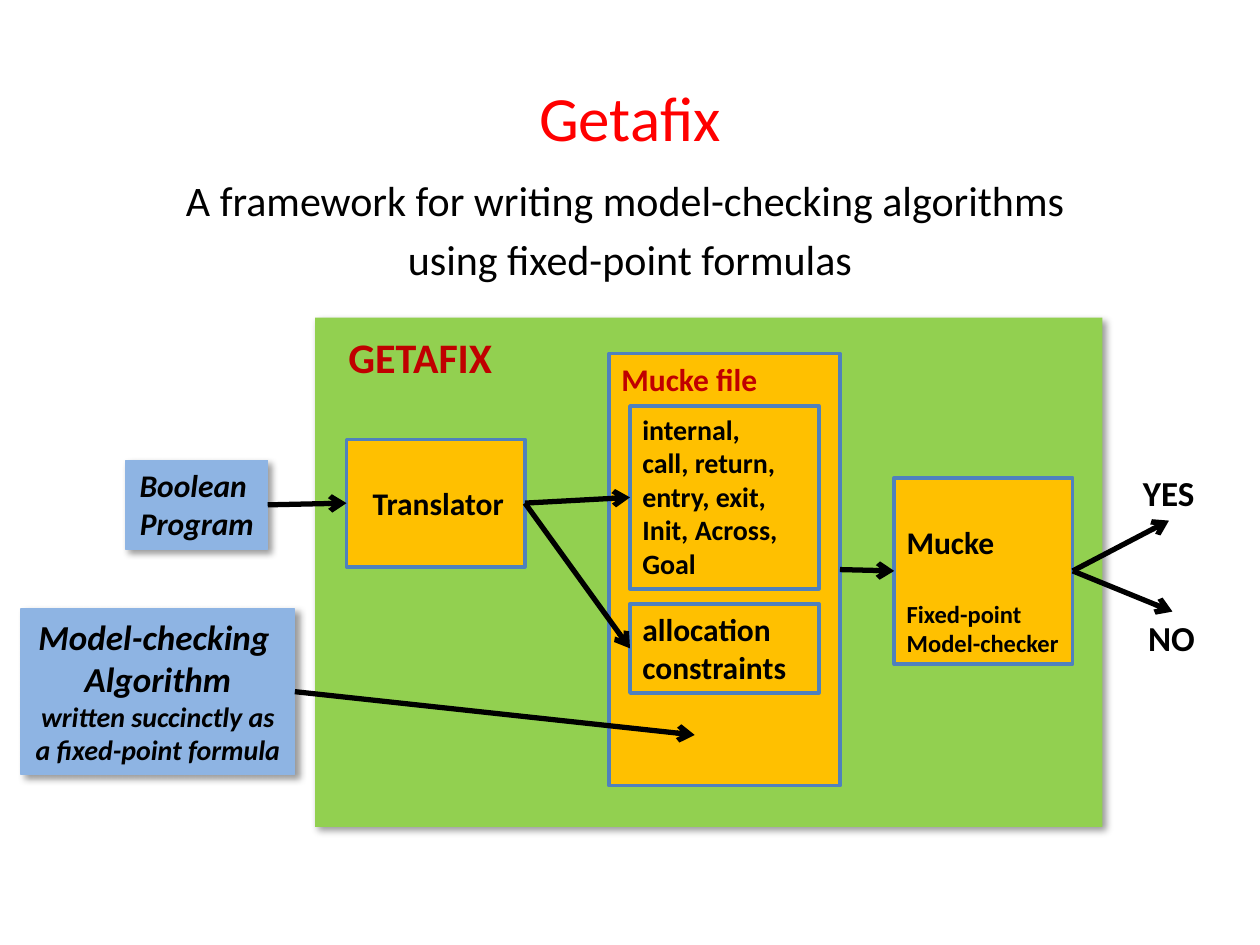
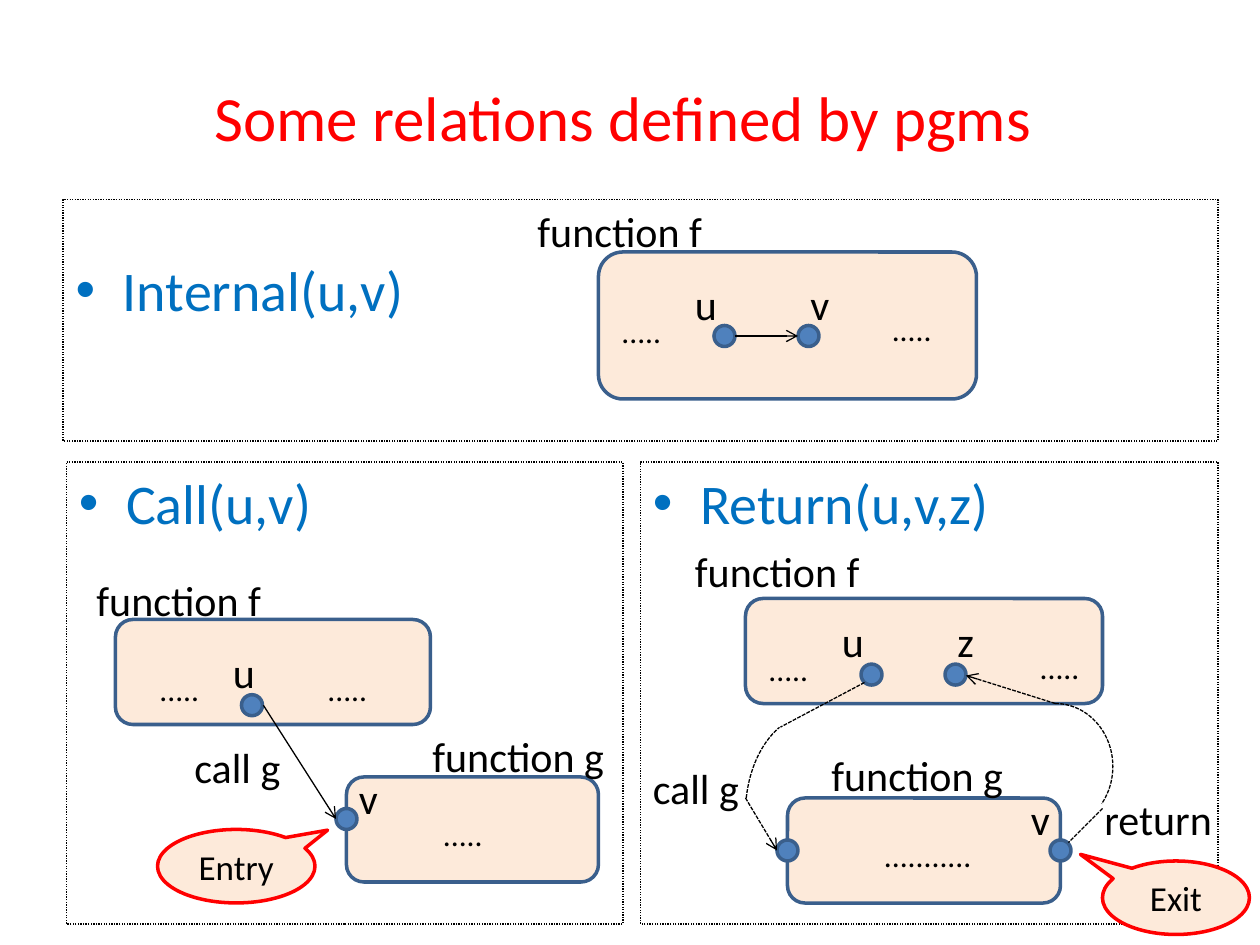
from lxml.etree import SubElement
from pptx import Presentation
from pptx.dml.color import RGBColor
from pptx.enum.dml import MSO_LINE
from pptx.enum.shapes import MSO_CONNECTOR, MSO_SHAPE
from pptx.enum.text import MSO_ANCHOR, MSO_AUTO_SIZE, PP_ALIGN
from pptx.oxml.ns import qn
from pptx.util import Pt

BLACK = RGBColor(0, 0, 0)
RED = RGBColor(0xFF, 0, 0)
DARK_RED = RGBColor(0xC0, 0, 0)
GREEN = RGBColor(0x92, 0xD0, 0x50)
AMBER = RGBColor(0xFF, 0xC0, 0)
SKY = RGBColor(0x8E, 0xB4, 0xE3)
BLUE = RGBColor(0x4F, 0x81, 0xBD)
NAVY = RGBColor(0x3A, 0x5F, 0x8C)
HEADING_BLUE = RGBColor(0, 0x70, 0xC0)
PEACH = RGBColor(0xFD, 0xEA, 0xDA)
FONT = "Calibri"
TITLE_BOX = (36, 21.6, 648, 90)
HANG = 27

TAGLINE_BOX = (36, 96, 648, 84)
TAGLINE = ["A framework for writing model-checking algorithms ", "using fixed-point formulas"]
TOOL_BOX = (180, 181.5, 450, 291)
INPUTS = {
    "program": ((72, 263, 81, 51), [("Boolean \vProgram", 18)]),
    "algorithm": ((12, 348, 156.5, 94.5), [
        ("Model-checking ", 20), ("Algorithm", 20),
        ("written succinctly as", 16), ("a fixed-point formula", 16)]),
}
STAGES = {
    "translator": ((198, 251, 102, 73), [("Translator", 18)]),
    "mucke file": ((348, 202, 132, 247), [("Mucke file", 18)]),
    "constraints": ((360, 345, 108, 51), [("allocation", 18), ("constraints", 18)]),
    "relations": ((360, 232, 108, 104.5), [
        ("internal,", 16), ("call, return,", 16), ("entry, exit,", 16),
        ("Init, Across, Goal", 16)]),
    "mucke": ((511, 273, 102, 106.5), [
        ("Mucke", 18), ("Fixed-point", 14), ("Model-checker", 14)]),
}
OUTER_LABELS = [
    ("YES", (646, 266, 44, 31.5), 20, BLACK),
    ("NO", (649, 349, 42, 31.5), 20, BLACK),
    ("GETAFIX", (192, 186, 97, 36), 24, DARK_RED),
]
FLOWS = [
    ("program", "translator"), ("translator", "relations"),
    ("translator", "constraints"), ("mucke file", "mucke"),
    ("mucke", (668, 297.5)), ("mucke", (670, 349.5)), ("algorithm", (397, 420)),
]

INTERNAL_BOX = (36, 114, 660, 138)
PANELS = [("Call(u,v)", (38, 264, 318, 264)), ("Return(u,v,z)", (366, 264, 330, 264))]
FUNCTIONS = [(342, 144, 216, 84), (66, 354, 180, 60), (198, 444, 144, 60),
             (426, 342, 204, 60), (450, 456, 156, 60)]
STATES = [(408, 186), (456, 186), (138, 397), (192, 462),
          (492, 379.5), (540, 379.5), (444, 480), (600, 480)]
LABEL_STYLE = {
    "function f": (24, 110), "function g": (24, 114), "call g": (24, 64),
    "return": (24, 77), "u": (24, 27), "v": (24, 25), "z": (24, 25),
    ".....": (18, 37.5), "...........": (18, 65),
}
LABEL_PLACES = {
    "function f": [(300, 114), (48, 325), (390, 308)],
    "function g": [(240, 414), (468, 425)],
    "call g": [(366, 432), (104, 420)],
    "return": [(624, 450)],
    "u": [(390, 155.5), (126, 366), (474, 348)],
    "v": [(456, 155.5), (198, 438), (582, 450)],
    "z": [(540, 348)],
    ".....": [(348, 174.5), (502.5, 173.5), (84, 379.5), (180, 379.5),
              (246, 462), (432, 368), (587, 367)],
    "...........": [(498, 474)],
}
STEPS = [((420, 192), (456, 192)), ((150.5, 403), (192, 468))]
JUMPS = [((494, 390), (446, 415.5), False), ((426, 456), (444, 486), True),
         ((603, 402), (552, 386), True), ((630, 462), (610.5, 481.5), False)]
ARCS = [((570, 402, 66, 72), (162, 23.2)), ((426, 408, 78, 114), (115.83, 149.04))]
CALLOUTS = [("Entry", (90, 474, 90, 42), (0.58, -0.49)),
            ("Exit", (630, 492, 84, 42), (-0.65, -0.59))]


def points(values):
    return [Pt(value) for value in values]


def move(placeholder, box):
    placeholder.left, placeholder.top, placeholder.width, placeholder.height = points(box)


def write(frame, lines, color=BLACK, bold=False, italic=False, align=PP_ALIGN.LEFT):
    for index, (text, size) in enumerate(lines):
        paragraph = frame.add_paragraph() if index else frame.paragraphs[0]
        paragraph.alignment = align
        for part, piece in enumerate(text.split("\v")):
            if part:
                paragraph.add_line_break()
            run = paragraph.add_run()
            run.text = piece
            run.font.name, run.font.size = FONT, Pt(size)
            run.font.bold, run.font.italic = bold, italic
            run.font.color.rgb = color


def outline(line, color, width, dash=None):
    line.color.rgb = color
    line.width = Pt(width)
    if dash:
        line.dash_style = dash


def draw(slide, kind, box, fill=None, line=None, width=2, dash=None):
    shape = slide.shapes.add_shape(kind, *points(box))
    shape.shadow.inherit = False
    if fill is None:
        shape.fill.background()
    else:
        shape.fill.solid()
        shape.fill.fore_color.rgb = fill
    if line is None:
        shape.line.fill.background()
    else:
        outline(shape.line, line, width, dash)
    frame = shape.text_frame
    frame.word_wrap = True
    frame.vertical_anchor = MSO_ANCHOR.TOP
    return shape


def cast_shadow(shape):
    effects = shape._element.spPr.find(qn("a:effectLst"))
    shadow = SubElement(effects, qn("a:outerShdw"), blurRad=str(Pt(4)), dist=str(Pt(3)),
                        dir="2700000", algn="tl", rotWithShape="0")
    tint = SubElement(shadow, qn("a:srgbClr"), val="000000")
    SubElement(tint, qn("a:alpha"), val="40000")


def connect(slide, start, end, width=0.75, dash=None, arrow=True):
    connector = slide.shapes.add_connector(MSO_CONNECTOR.STRAIGHT, *points(start + end))
    outline(connector.line, BLACK, width, dash)
    properties = connector._element.spPr
    if arrow:
        SubElement(properties.find(qn("a:ln")), qn("a:tailEnd"), type="arrow")
    SubElement(properties, qn("a:effectLst"))


def label(slide, text, box, size, color=BLACK, bold=False):
    frame = slide.shapes.add_textbox(*points(box)).text_frame
    frame.word_wrap = False
    frame.auto_size = MSO_AUTO_SIZE.SHAPE_TO_FIT_TEXT
    write(frame, [(text, size)], color, bold)


def hang(paragraph, bullet=None):
    properties = paragraph._p.get_or_add_pPr()
    properties.set("marL", str(Pt(HANG)))
    properties.set("indent", str(-Pt(HANG)))
    paragraph.space_before = Pt(0)
    if bullet:
        SubElement(properties, qn("a:buFont"), typeface="Arial")
        SubElement(properties, qn("a:buChar"), char=bullet)
    else:
        SubElement(properties, qn("a:buNone"))


def head_panel(frame, text):
    hang(frame.paragraphs[0], "•")
    write(frame, [(text, 32)], HEADING_BLUE)


def add_titled_slide(deck, title, body_box):
    slide = deck.slides.add_slide(deck.slide_layouts[1])
    move(slide.shapes.title, TITLE_BOX)
    write(slide.shapes.title.text_frame, [(title, 36)], RED, align=PP_ALIGN.CENTER)
    body = slide.placeholders[1]
    move(body, body_box)
    body.text_frame.auto_size = MSO_AUTO_SIZE.NONE
    return slide, body


def build_framework(deck):
    slide, tagline = add_titled_slide(deck, "Getafix", TAGLINE_BOX)
    write(tagline.text_frame, [(line, 24) for line in TAGLINE], align=PP_ALIGN.CENTER)
    for paragraph in tagline.text_frame.paragraphs:
        hang(paragraph)
    tagline.text_frame.paragraphs[1].space_before = Pt(5)

    cast_shadow(draw(slide, MSO_SHAPE.RECTANGLE, TOOL_BOX, GREEN))
    for box, lines in INPUTS.values():
        source = draw(slide, MSO_SHAPE.RECTANGLE, box, SKY, SKY, 0.75)
        cast_shadow(source)
        source.text_frame.word_wrap = False
        write(source.text_frame, lines, bold=True, italic=True, align=PP_ALIGN.CENTER)
    frames = {}
    for name, (box, lines) in STAGES.items():
        frames[name] = draw(slide, MSO_SHAPE.RECTANGLE, box, AMBER, BLUE).text_frame
        write(frames[name], lines, DARK_RED if name == "mucke file" else BLACK, bold=True)
    frames["translator"].vertical_anchor = MSO_ANCHOR.MIDDLE
    frames["translator"].margin_left = Pt(15)
    frames["mucke"].margin_top = Pt(25.6)
    frames["mucke"].paragraphs[1].space_before = Pt(22)

    for text, box, size, color in OUTER_LABELS:
        label(slide, text, box, size, color, bold=True)
    boxes = {name: box for name, (box, _) in (INPUTS | STAGES).items()}
    for origin, target in FLOWS:
        left, top, width, height = boxes[origin]
        if target in boxes:
            x, y, _, target_height = boxes[target]
            target = (x, y + target_height / 2)
        connect(slide, (left + width, top + height / 2), target, 3)


def build_relations(deck):
    slide, internal = add_titled_slide(deck, "Some relations defined by pgms ", INTERNAL_BOX)
    outline(internal.line, BLACK, 0.75, MSO_LINE.ROUND_DOT)
    internal.text_frame.margin_top = Pt(32)
    head_panel(internal.text_frame, "Internal(u,v)")
    for heading, box in PANELS:
        panel = draw(slide, MSO_SHAPE.RECTANGLE, box, None, BLACK, 0.75, MSO_LINE.ROUND_DOT)
        head_panel(panel.text_frame, heading)
    for box in FUNCTIONS:
        draw(slide, MSO_SHAPE.ROUNDED_RECTANGLE, box, PEACH, NAVY)
    for corner in STATES:
        draw(slide, MSO_SHAPE.OVAL, corner + (12, 12), BLUE, NAVY)
    for text, places in LABEL_PLACES.items():
        size, width = LABEL_STYLE[text]
        for corner in places:
            label(slide, text, corner + (width, 36 if size == 24 else 29), size)
    for start, end in STEPS:
        connect(slide, start, end)
    for start, end, arrow in JUMPS:
        connect(slide, start, end, dash=MSO_LINE.SQUARE_DOT, arrow=arrow)
    for box, angles in ARCS:
        arc = draw(slide, MSO_SHAPE.ARC, box, None, BLACK, 0.75, MSO_LINE.SQUARE_DOT)
        arc.adjustments[0], arc.adjustments[1] = angles
    for text, box, tip in CALLOUTS:
        callout = draw(slide, MSO_SHAPE.OVAL_CALLOUT, box, PEACH, RED)
        callout.adjustments[0], callout.adjustments[1] = tip
        callout.text_frame.vertical_anchor = MSO_ANCHOR.MIDDLE
        write(callout.text_frame, [(text, 20)], align=PP_ALIGN.CENTER)


def main():
    deck = Presentation()
    deck.slide_width, deck.slide_height = Pt(720), Pt(540)
    build_framework(deck)
    build_relations(deck)
    deck.save("out.pptx")


if __name__ == "__main__":
    main()
